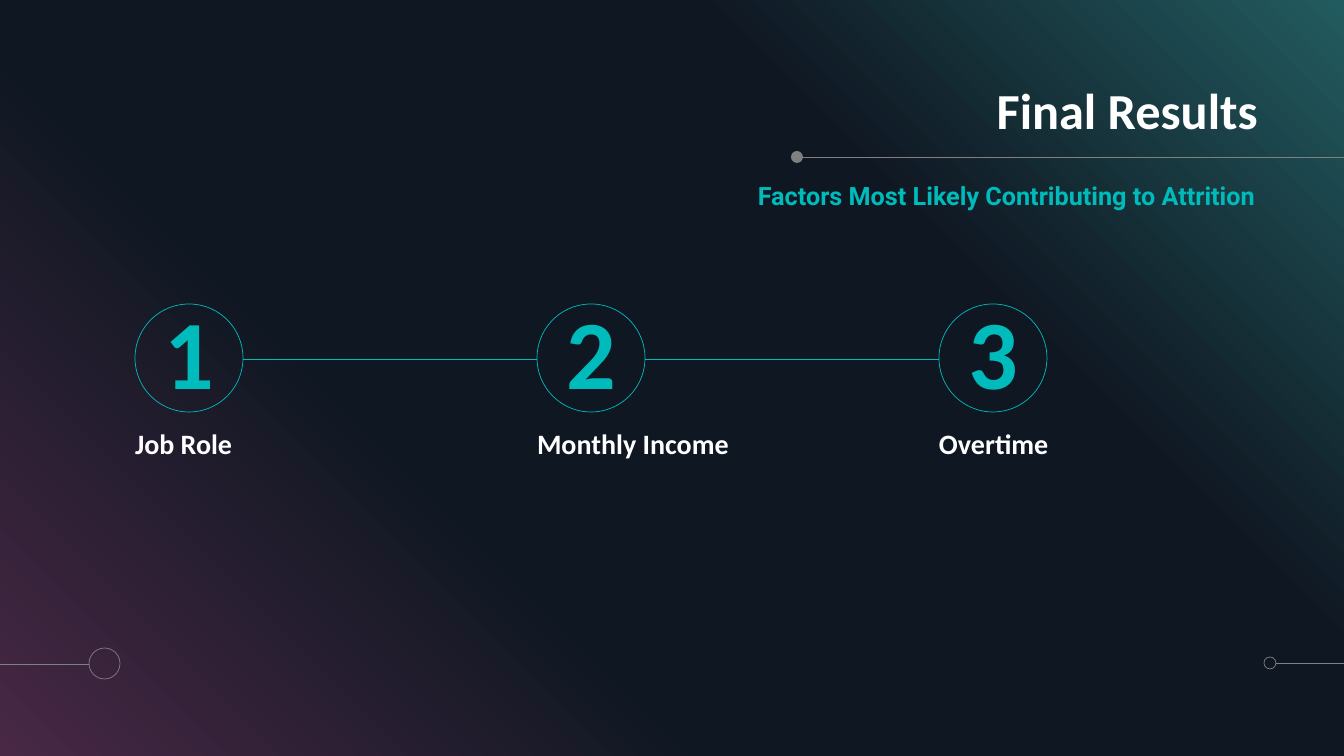
import pptx
import pptx.dml.color
import pptx.enum.shapes
import pptx.enum.text
import pptx.oxml
import pptx.oxml.ns
import pptx.util
from lxml import etree

PX = 12192000 / 1344
SLIDE_WIDTH, SLIDE_HEIGHT = 1344, 756
TEAL, GREY, WHITE = "00BBBB", "808080", "FFFFFF"
BACKDROP_STOPS = [(0, "482845"), (34, "0F1722"), (69, "0F1722"), (100, "225B5F")]
FACTORS = ["Job Role", "Monthly Income", "Overtime"]
FACTOR_LEFT, FACTOR_STEP = 135, 402
CIRCLE_TOP, CIRCLE_SIZE = 304, 108
LINK_Y = 359

ALIGN = pptx.enum.text.PP_ALIGN
ANCHOR = pptx.enum.text.MSO_ANCHOR
SHAPE = pptx.enum.shapes.MSO_SHAPE


def px(*lengths):
    """Turn pixel lengths into EMU."""
    return [pptx.util.Emu(round(length * PX)) for length in lengths]


def color(value):
    return pptx.dml.color.RGBColor.from_string(value)


def add_backdrop(slide):
    backdrop = slide.shapes.add_shape(SHAPE.RECTANGLE, *px(0, 0, SLIDE_WIDTH, SLIDE_HEIGHT))
    backdrop.shadow.inherit = False
    backdrop.line.fill.background()
    backdrop.fill.gradient()
    backdrop.fill.gradient_angle = 45
    stops = backdrop._element.spPr.find(".//" + pptx.oxml.ns.qn("a:gsLst"))
    for stop in list(stops):
        stops.remove(stop)
    for percent, value in BACKDROP_STOPS:
        stop = etree.SubElement(stops, pptx.oxml.ns.qn("a:gs"), pos=str(percent * 1000))
        etree.SubElement(stop, pptx.oxml.ns.qn("a:srgbClr"), val=value)


def add_line(slide, start, end, line_color):
    line = slide.shapes.add_connector(
        pptx.enum.shapes.MSO_CONNECTOR.STRAIGHT, *px(*start, *end))
    line.line.color.rgb = color(line_color)
    line.line.width = pptx.util.Pt(0.5)
    etree.SubElement(line._element.spPr, pptx.oxml.ns.qn("a:effectLst"))


def add_circle(slide, left, top, size, line_color=None, fill_color=None):
    circle = slide.shapes.add_shape(SHAPE.OVAL, *px(left, top, size, size))
    circle.shadow.inherit = False
    if fill_color:
        circle.fill.solid()
        circle.fill.fore_color.rgb = color(fill_color)
    else:
        circle.fill.background()
    if line_color:
        circle.line.color.rgb = color(line_color)
        circle.line.width = pptx.util.Pt(0.5)
    else:
        circle.line.fill.background()
    return circle


def write(shape, text, size, text_color, font="Calibri", align=ALIGN.LEFT,
          anchor=ANCHOR.BOTTOM, spacing=0.9, wrap=True):
    """Fill a shape with one bold paragraph and no insets."""
    frame = shape.text_frame
    frame.text = text
    frame.word_wrap = wrap
    frame.vertical_anchor = anchor
    frame.margin_left = frame.margin_top = frame.margin_right = frame.margin_bottom = 0
    paragraph = frame.paragraphs[0]
    paragraph.alignment = align
    paragraph.line_spacing = spacing
    run_font = paragraph.runs[0].font
    run_font.name = font
    run_font.size = pptx.util.Pt(size)
    run_font.bold = True
    run_font.color.rgb = color(text_color)


def add_text(slide, box, text, size, text_color, **style):
    write(slide.shapes.add_textbox(*px(*box)), text, size, text_color, **style)


def add_factor(slide, number, label):
    left = FACTOR_LEFT + (number - 1) * FACTOR_STEP
    circle = add_circle(slide, left, CIRCLE_TOP, CIRCLE_SIZE, TEAL)
    write(circle, str(number), 70, TEAL, align=ALIGN.CENTER, anchor=ANCHOR.MIDDLE, wrap=False)
    add_text(slide, (left, 425, 325, 36), label, 20, WHITE)
    if number < len(FACTORS):
        add_line(slide, (left + CIRCLE_SIZE, LINK_Y), (left + FACTOR_STEP, LINK_Y), TEAL)


def add_ornaments(slide):
    add_line(slide, (SLIDE_WIDTH, 157), (800, 157), GREY)
    add_circle(slide, 791, 151, 12, fill_color=GREY)
    add_line(slide, (1276, 663), (SLIDE_WIDTH, 663), GREY)
    add_circle(slide, 1264, 657, 12, GREY)
    add_line(slide, (0, 664), (89, 664), GREY)
    add_circle(slide, 89, 648, 31, GREY)


def main():
    presentation = pptx.Presentation()
    presentation.slide_width, presentation.slide_height = px(SLIDE_WIDTH, SLIDE_HEIGHT)
    slide = presentation.slides.add_slide(presentation.slide_layouts[6])
    slide.background.fill.solid()
    slide.background.fill.fore_color.rgb = color("000000")
    add_backdrop(slide)
    add_ornaments(slide)
    add_text(slide, (562, 78, 696, 62), "Final Results", 36, WHITE, align=ALIGN.RIGHT)
    add_text(slide, (562, 180, 693, 62), "Factors Most Likely Contributing to Attrition", 18,
             TEAL, font="Roboto", align=ALIGN.RIGHT, anchor=ANCHOR.TOP, spacing=1.0)
    for number, label in enumerate(FACTORS, 1):
        add_factor(slide, number, label)
    presentation.save("out.pptx")


if __name__ == "__main__":
    main()
